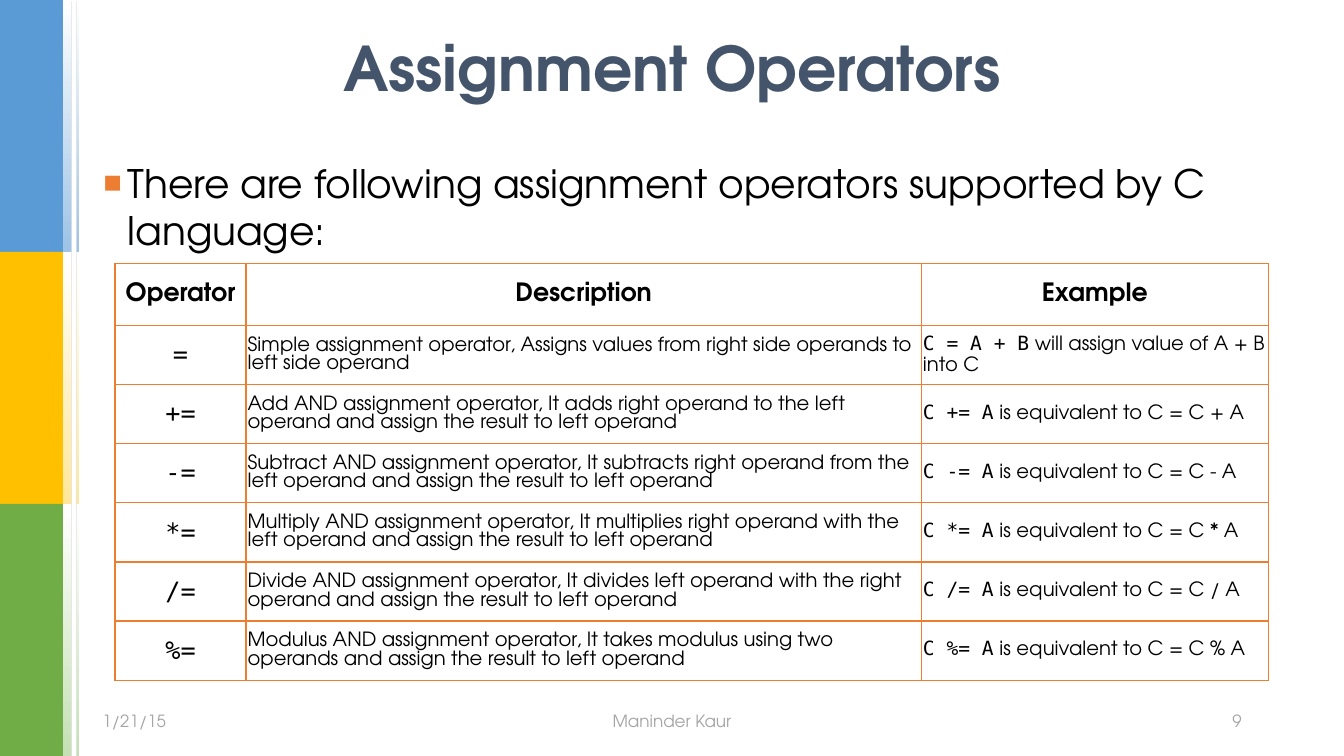
import dataclasses

import pptx
import pptx.dml.color
import pptx.enum.shapes
import pptx.enum.text
import pptx.oxml
import pptx.oxml.ns
import pptx.util
from pptx.util import Cm, Pt

ALIGN = pptx.enum.text.PP_ALIGN
MIDDLE = pptx.enum.text.MSO_ANCHOR.MIDDLE
RECTANGLE = pptx.enum.shapes.MSO_SHAPE.RECTANGLE
NAMESPACE = pptx.oxml.ns.nsdecls("a")


@dataclasses.dataclass(frozen=True)
class Theme:
    font: str = "TeX Gyre Adventor"
    code_font: str = "DejaVu Sans Mono"
    title_size: int = 44
    body_size: int = 28
    header_size: int = 18
    cell_size: int = 14
    footer_size: int = 12
    title: str = "44546A"
    text: str = "000000"
    footer: str = "A5A5A5"
    accent: str = "ED7D31"
    white: str = "FFFFFF"
    # Solid colour and tint of each side band, from top to bottom
    bands: tuple = (("5B9BD5", "9DC3E6"), ("FFC000", "FFE699"), ("70AD47", "C5E0B4"))


theme = Theme()
rgb = pptx.dml.color.RGBColor.from_string


def format_runs(paragraph, size, color=theme.text, bold=False, fonts=(theme.font,)):
    """Format the runs of a paragraph, with one font name per run."""
    for run, font_name in zip(paragraph.runs, fonts):
        run.font.name = font_name
        run.font.size = Pt(size)
        run.font.bold = bold
        run.font.color.rgb = rgb(color)


def add_bar(left, top, width, height, color):
    bar = slide.shapes.add_shape(RECTANGLE, Cm(left), Cm(top), Cm(width), Cm(height))
    bar.shadow.inherit = False
    bar.line.fill.background()
    bar.fill.solid()
    bar.fill.fore_color.rgb = rgb(color)
    return bar


presentation = pptx.Presentation()
presentation.slide_width = Cm(33.87)
presentation.slide_height = Cm(19.05)
slide = presentation.slides.add_slide(presentation.slide_layouts[5])

# Side bands
band_height = 6.35
for index, (color, tint) in enumerate(theme.bands):
    top = index * band_height
    add_bar(0, top, 1.59, band_height, color)
    fade = add_bar(1.59, top, 0.4, band_height, tint)
    fade.fill.gradient()
    fade.fill.gradient_angle = 90
    for stop, stop_color in zip(fade.fill.gradient_stops, (tint, theme.white)):
        stop.color.rgb = rgb(stop_color)

stripe = add_bar(1.8, 0, 0.13, 19.05, theme.white)
stripe_effects = stripe._element.spPr.find(pptx.oxml.ns.qn("a:effectLst"))
stripe_effects.append(pptx.oxml.parse_xml(
    f'<a:outerShdw {NAMESPACE} blurRad="0" dist="12700" dir="5400000">'
    f'<a:srgbClr val="{theme.text}"><a:alpha val="32000"/></a:srgbClr></a:outerShdw>'))

# Title
title = slide.shapes.title
title.left, title.top, title.width, title.height = Cm(2.33), Cm(0.43), Cm(29.21), Cm(2.77)
title.text_frame.text = "Assignment Operators"
title.text_frame.auto_size = pptx.enum.text.MSO_AUTO_SIZE.NONE
title.text_frame.vertical_anchor = MIDDLE
title_paragraph = title.text_frame.paragraphs[0]
title_paragraph.alignment = ALIGN.CENTER
title_paragraph.line_spacing = 0.9
format_runs(title_paragraph, theme.title_size, theme.title, bold=True)

# Introduction
introduction = slide.shapes.add_textbox(Cm(2.33), Cm(3.88), Cm(29.21), Cm(13.3))
introduction.text_frame.word_wrap = True
introduction.text_frame.text = (
    "There are following assignment operators supported by C language:")
paragraph = introduction.text_frame.paragraphs[0]
paragraph.line_spacing = Pt(33.6)
paragraph.space_after = Pt(12)
format_runs(paragraph, theme.body_size)
properties = paragraph._p.get_or_add_pPr()
properties.set("marL", str(Cm(0.64)))
properties.set("indent", str(Cm(-0.64)))
for bullet in (f'<a:buClr {NAMESPACE}><a:srgbClr val="{theme.accent}"/></a:buClr>',
               f'<a:buFont {NAMESPACE} typeface="{theme.font}"/>',
               f'<a:buChar {NAMESPACE} char="▪"/>'):
    properties.append(pptx.oxml.parse_xml(bullet))

# Footer
for left, width, alignment, text in (
        (2.33, 9.1, ALIGN.LEFT, "1/21/15"),
        (12.91, 8.05, ALIGN.CENTER, "Maninder Kaur"),
        (22.44, 9.1, ALIGN.RIGHT, "9")):
    footer = slide.shapes.add_textbox(Cm(left), Cm(17.66), Cm(width), Cm(1.01))
    footer.text_frame.word_wrap = True
    footer.text_frame.vertical_anchor = MIDDLE
    footer.text_frame.text = text
    footer.text_frame.paragraphs[0].alignment = alignment
    format_runs(footer.text_frame.paragraphs[0], theme.footer_size, theme.footer)

# Operator table
headers = ("Operator", "Description", "Example")
operators = (
    ("=", "Simple assignment operator, Assigns values from right side operands to "
          "left side operand", "C = A + B", " will assign value of A + B into C"),
    ("+=", "Add AND assignment operator, It adds right operand to the left operand "
           "and assign the result to left operand",
     "C += A", " is equivalent to C = C + A"),
    ("-=", "Subtract AND assignment operator, It subtracts right operand from the "
           "left operand and assign the result to left operand",
     "C -= A", " is equivalent to C = C - A"),
    ("*=", "Multiply AND assignment operator, It multiplies right operand with the "
           "left operand and assign the result to left operand",
     "C *= A", " is equivalent to C = C * A"),
    ("/=", "Divide AND assignment operator, It divides left operand with the right "
           "operand and assign the result to left operand",
     "C /= A", " is equivalent to C = C / A"),
    ("%=", "Modulus AND assignment operator, It takes modulus using two operands "
           "and assign the result to left operand",
     "C %= A", " is equivalent to C = C % A"),
)
table = slide.shapes.add_table(
    len(operators) + 1, len(headers), Cm(2.9), Cm(6.64), Cm(29.06), Cm(10.5)).table
for column, width in zip(table.columns, (3.3, 17.02, 8.74)):
    column.width = Cm(width)
for index, row in enumerate(table.rows):
    row.height = Cm(1.49 if index else 1.56)

for column, header in enumerate(headers):
    paragraph = table.cell(0, column).text_frame.paragraphs[0]
    paragraph.text = header
    paragraph.alignment = ALIGN.CENTER
    format_runs(paragraph, theme.header_size, bold=True)

for row, (operator, description, code, meaning) in enumerate(operators, start=1):
    symbol, explanation, example = (
        table.cell(row, column).text_frame.paragraphs[0] for column in range(3))
    symbol.text = operator
    symbol.alignment = ALIGN.CENTER
    format_runs(symbol, theme.header_size, fonts=(theme.code_font,))
    explanation.text = description
    explanation.line_spacing = Pt(13)
    format_runs(explanation, theme.cell_size)
    example.text = code
    example.add_run().text = meaning
    example.line_spacing = Pt(14.3)
    format_runs(example, theme.cell_size, fonts=(theme.code_font, theme.font))

for cell in table.iter_cells():
    cell.vertical_anchor = MIDDLE
    cell.margin_left = cell.margin_right = Cm(0.04)
    cell.margin_top = cell.margin_bottom = Cm(0.13)
    cell.fill.background()
    for position, side in enumerate(("lnL", "lnR", "lnT", "lnB")):
        cell._tc.get_or_add_tcPr().insert(position, pptx.oxml.parse_xml(
            f'<a:{side} {NAMESPACE} w="{Pt(0.96)}"><a:solidFill>'
            f'<a:srgbClr val="{theme.accent}"/></a:solidFill></a:{side}>'))

presentation.save("out.pptx")
